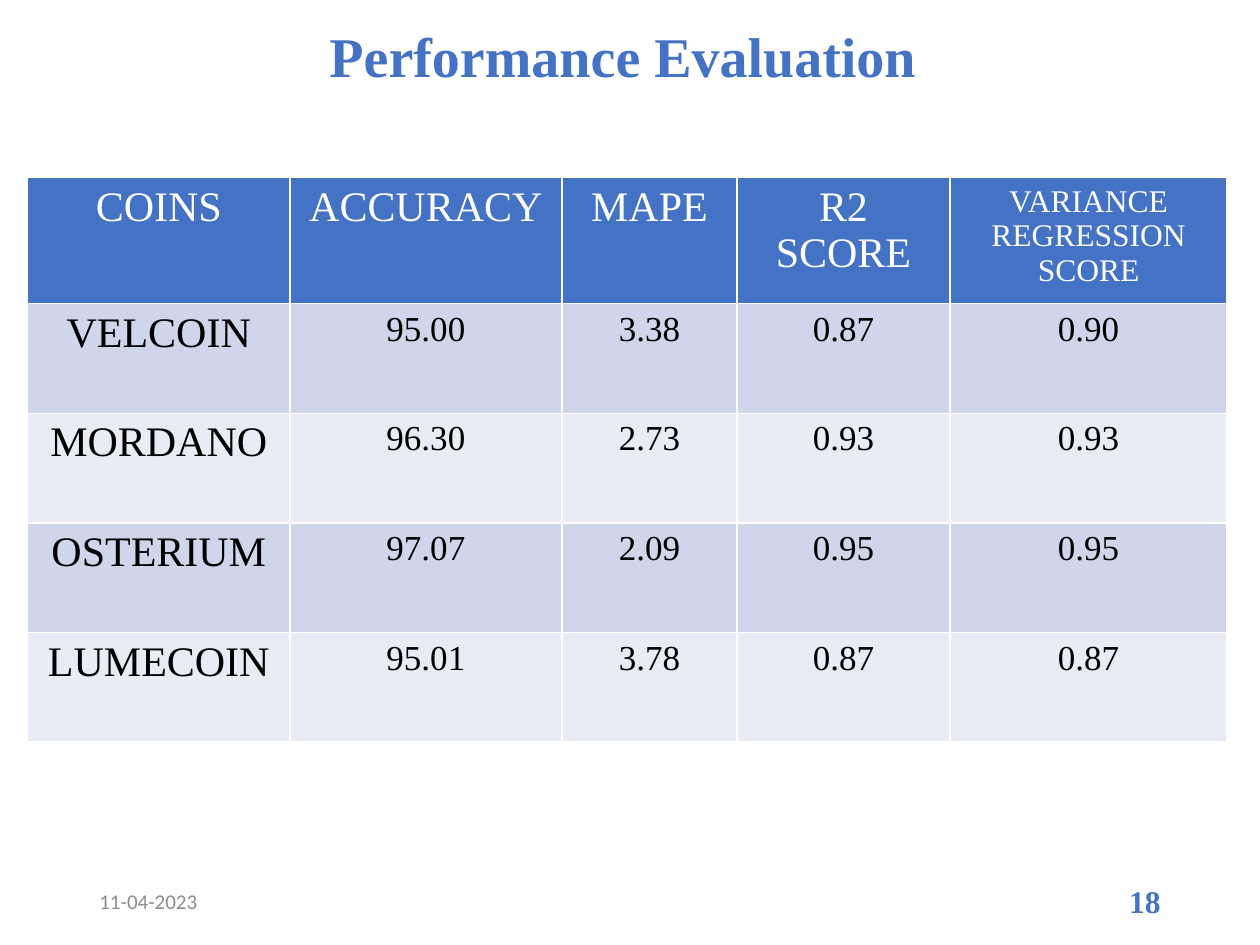
from pptx import Presentation
from pptx.dml.color import RGBColor
from pptx.enum.text import MSO_ANCHOR, PP_ALIGN
from pptx.util import Inches, Pt

LEFT, CENTER, RIGHT = PP_ALIGN.LEFT, PP_ALIGN.CENTER, PP_ALIGN.RIGHT
MIDDLE = MSO_ANCHOR.MIDDLE
TITLE_ONLY = 5
SERIF, SANS = "Times New Roman", "Calibri"
COLORS = {
    "accent": "4472C4",
    "white": "FFFFFF",
    "black": "000000",
    "gray": "8C8C8C",
    "odd band": "CFD5EA",
    "even band": "E9EBF5",
}

TITLE = "Performance Evaluation "
TITLE_AREA = (0.69, 0.18, 8.62, 0.58)
FOOTERS = [
    ("11-04-2023", 0.69, LEFT, {"name": SANS, "size": Pt(12), "bold": False}, "gray"),
    ("18", 7.06, RIGHT, {"name": SERIF, "size": Pt(18), "bold": True}, "accent"),
]
FOOTER_TOP, FOOTER_WIDTH, FOOTER_HEIGHT = 6.95, 2.25, 0.4

HEADERS = ["COINS", "ACCURACY", "MAPE", "R2 SCORE", "VARIANCE REGRESSION SCORE"]
RESULTS = [
    ("VELCOIN", "95.00", "3.38", "0.87", "0.90"),
    ("MORDANO", "96.30", "2.73", "0.93", "0.93"),
    ("OSTERIUM", "97.07", "2.09", "0.95", "0.95"),
    ("LUMECOIN", "95.01", "3.78", "0.87", "0.87"),
]
TABLE_LEFT, TABLE_TOP = 0.22, 1.41
COLUMN_WIDTHS = [2.08, 2.16, 1.39, 1.69, 2.2]
ROW_HEIGHTS = [0.96] + [0.87] * len(RESULTS)


def write(frame, text, align, style, color):
    """Put one formatted paragraph in a text frame."""
    para = frame.paragraphs[0]
    para.alignment = align
    span = para.add_run()
    span.text = text
    for key, value in style.items():
        setattr(span.font, key, value)
    span.font.color.rgb = RGBColor.from_string(COLORS[color])
    return para


def add_title(page):
    """Place and format the title placeholder."""
    title = page.shapes.title
    sides = ("left", "top", "width", "height")
    for side, value in zip(sides, TITLE_AREA):
        setattr(title, side, Inches(value))
    title.text_frame.vertical_anchor = MIDDLE
    style = {"name": SERIF, "size": Pt(32), "bold": True}
    write(title.text_frame, TITLE, CENTER, style, "accent").line_spacing = 0.9


def add_footers(page):
    """Add the date and the page number."""
    for text, left, align, style, color in FOOTERS:
        area = (left, FOOTER_TOP, FOOTER_WIDTH, FOOTER_HEIGHT)
        frame = page.shapes.add_textbox(*map(Inches, area)).text_frame
        frame.word_wrap = True
        frame.vertical_anchor = MIDDLE
        write(frame, text, align, style, color)


def cell_look(row, column):
    """Return the font size, text colour and fill of a table cell."""
    if row == 0:
        return 18 if column == len(HEADERS) - 1 else 24, "white", "accent"
    return 24 if column == 0 else 20, "black", "odd band" if row % 2 else "even band"


def add_results(page):
    """Add the table of scores per coin."""
    rows = [HEADERS, *RESULTS]
    area = (TABLE_LEFT, TABLE_TOP, sum(COLUMN_WIDTHS), sum(ROW_HEIGHTS))
    table = page.shapes.add_table(len(rows), len(HEADERS), *map(Inches, area)).table
    for column, width in zip(table.columns, COLUMN_WIDTHS):
        column.width = Inches(width)
    for row, height in zip(table.rows, ROW_HEIGHTS):
        row.height = Inches(height)
    for i, values in enumerate(rows):
        for j, text in enumerate(values):
            size, color, fill = cell_look(i, j)
            cell = table.cell(i, j)
            cell.fill.solid()
            cell.fill.fore_color.rgb = RGBColor.from_string(COLORS[fill])
            style = {"name": SERIF, "size": Pt(size), "bold": False}
            write(cell.text_frame, text, CENTER, style, color)


def main():
    """Build the performance evaluation slide."""
    deck = Presentation()
    deck.slide_width, deck.slide_height = Inches(10), Inches(7.5)
    page = deck.slides.add_slide(deck.slide_layouts[TITLE_ONLY])
    add_title(page)
    add_footers(page)
    add_results(page)
    deck.save("out.pptx")


if __name__ == "__main__":
    main()
